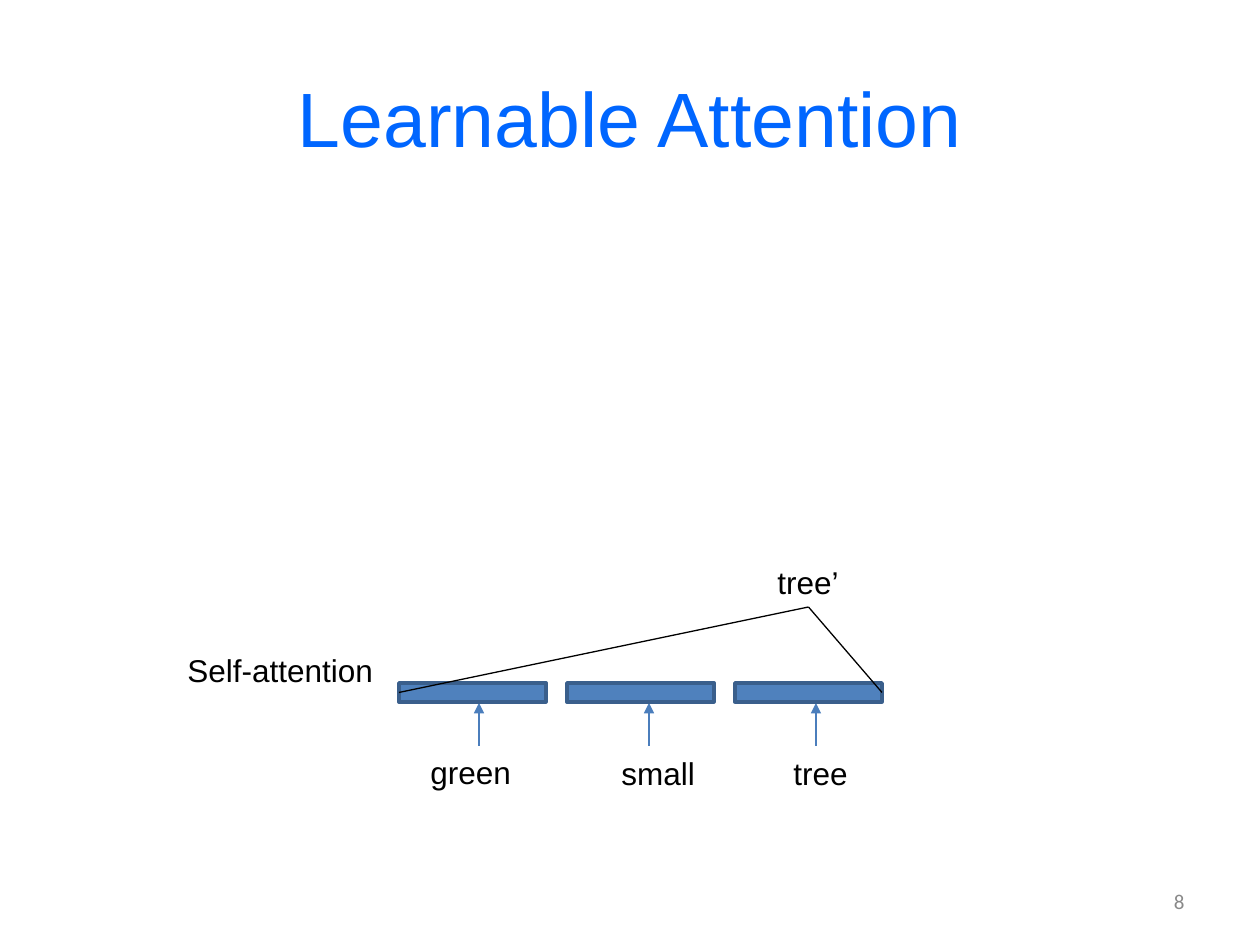
from lxml.etree import SubElement
from pptx import Presentation
from pptx.dml.color import RGBColor
from pptx.enum.shapes import MSO_CONNECTOR, MSO_SHAPE
from pptx.enum.text import MSO_ANCHOR, PP_ALIGN
from pptx.oxml.ns import qn
from pptx.util import Emu, Pt

EMU_PER_PX = 914400 / 126
COLORS = {
    "title": "0066FF",
    "text": "000000",
    "number": "898989",
    "bar": "4F81BD",
    "bar_edge": "3A5F8C",
    "arrow": "4B7EBC",
}

presentation = Presentation()
presentation.slide_width = Emu(round(1260 * EMU_PER_PX))
presentation.slide_height = Emu(round(945 * EMU_PER_PX))
slide = presentation.slides.add_slide(presentation.slide_layouts[6])


def add_text(text, box, size=18, font="Arial", color="text",
             align=PP_ALIGN.LEFT, anchor=MSO_ANCHOR.TOP, wrap=False):
    """Add a text box; box is left, top, width, height in px."""
    shape = slide.shapes.add_textbox(*(Emu(round(v * EMU_PER_PX)) for v in box))
    frame = shape.text_frame
    frame.word_wrap = wrap
    frame.vertical_anchor = anchor
    paragraph = frame.paragraphs[0]
    paragraph.alignment = align
    run = paragraph.add_run()
    run.text = text
    run.font.size = Pt(size)
    run.font.name = font
    run.font.color.rgb = RGBColor.from_string(COLORS[color])
    return shape


def add_line(start, end, color):
    """Add a thin straight connector between two points in px."""
    connector = slide.shapes.add_connector(
        MSO_CONNECTOR.STRAIGHT,
        *(Emu(round(v * EMU_PER_PX)) for v in (*start, *end)))
    connector.line.color.rgb = RGBColor.from_string(COLORS[color])
    connector.line.width = Pt(0.75)
    SubElement(connector._element.spPr, qn("a:effectLst"))
    return connector


add_text("Learnable Attention", (63, 38, 1134, 157), size=44, color="title",
         align=PP_ALIGN.CENTER, anchor=MSO_ANCHOR.MIDDLE, wrap=True)
add_text("8", (903, 876, 294, 50), size=12, font="Calibri", color="number",
         align=PP_ALIGN.RIGHT, anchor=MSO_ANCHOR.MIDDLE, wrap=True)

# Input words, each with an arrow up to its bar
words = [
    ("green", (418, 747, 107, 50), 479),
    ("small", (609, 748, 100, 50), 649),
    ("tree", (781, 748, 81, 50), 816),
]
for word, box, arrow_x in words:
    arrow = add_line((arrow_x, 746), (arrow_x, 703), "arrow")
    SubElement(arrow.line._get_or_add_ln(), qn("a:tailEnd"), type="triangle")
    add_text(word, box)

bars = []
for column in range(len(words)):
    bar = slide.shapes.add_shape(
        MSO_SHAPE.RECTANGLE,
        *(Emu(round(v * EMU_PER_PX)) for v in (399 + 168 * column, 683, 147, 19)))
    bar.shadow.inherit = False
    bar.fill.solid()
    bar.fill.fore_color.rgb = RGBColor.from_string(COLORS["bar"])
    bar.line.color.rgb = RGBColor.from_string(COLORS["bar_edge"])
    bar.line.width = Pt(2)
    bars.append(bar)

output_word = add_text("tree’", (765, 557, 87, 50))
add_text("Self-attention", (175, 645, 213, 50))

# The output word attends to the whole row of bars
for bar, side, end_x in ((bars[0], 1, 399), (bars[-1], 3, 882)):
    attention_line = add_line((808, 607), (end_x, 692), "text")
    attention_line.begin_connect(output_word, 2)
    attention_line.end_connect(bar, side)

presentation.save("out.pptx")
